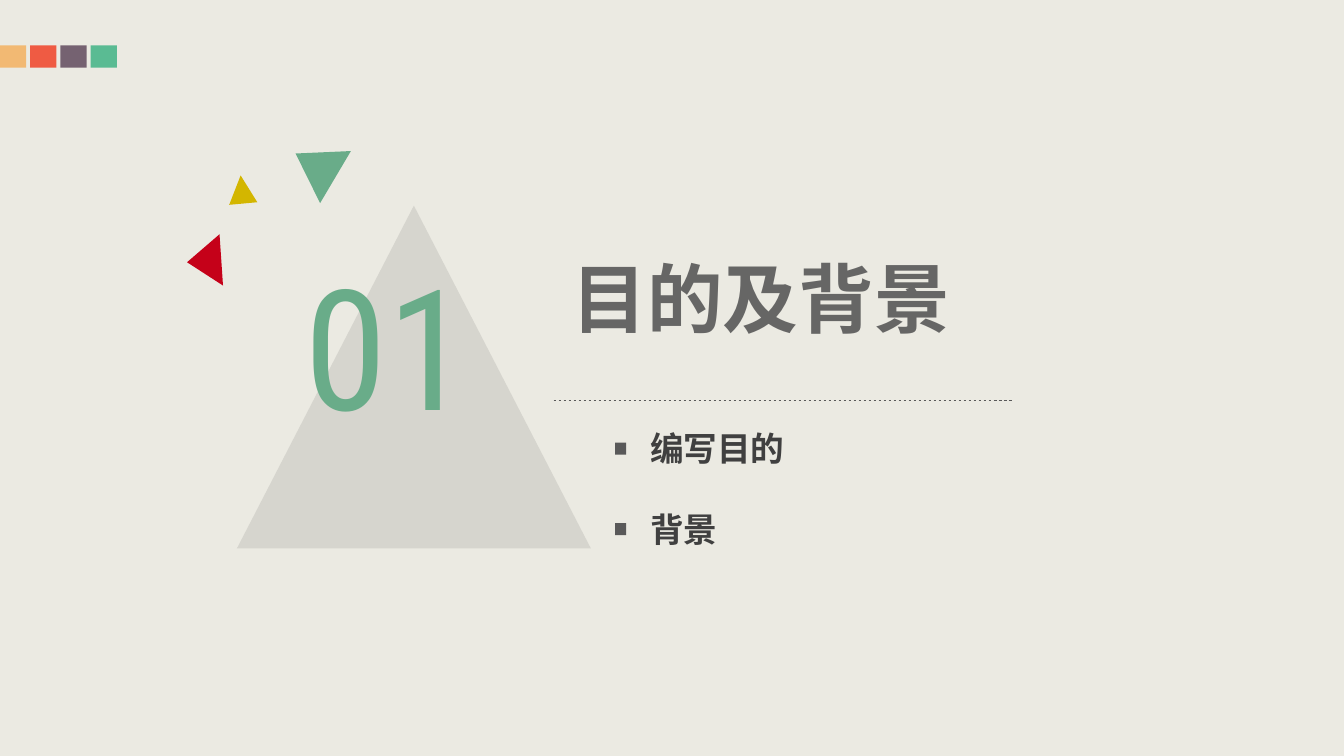
from lxml.etree import SubElement
from pptx import Presentation
from pptx.dml.color import RGBColor
from pptx.enum.dml import MSO_LINE
from pptx.enum.shapes import MSO_CONNECTOR, MSO_SHAPE
from pptx.enum.text import MSO_ANCHOR
from pptx.oxml.ns import qn
from pptx.util import Inches, Pt

BG, GRAY, INK, GREEN = "EBEAE2", "595959", "404040", "69AC89"
CJK, LATIN = "Noto Sans CJK SC", "Roboto Condensed"

SWATCHES = ["F2B973", "EF5B43", "756271", "5ABB93"]
SWATCH_STEP, SWATCH_TOP, SWATCH_SIZE = 0.3, 0.45, (0.26, 0.22)

TRIANGLES = [
    ((2.35, 2.04, 3.51, 3.4), 0, GRAY, 14),
    ((2.83, 1.41, 0.6, 0.46), 300.6, GREEN, 100),
    ((2.26, 1.74, 0.28, 0.28), 354.7, "D3B600", 100),
    ((1.77, 2.42, 0.51, 0.34), 266.1, "C50119", 100),
]
NUMBER = ("01", (2.92, 2.35, 2.36, 2.12), 120, LATIN, GREEN)
TITLE = ("目的及背景", (5.57, 2.44, 4.35, 1.01), 54, CJK, GRAY)
RULE = (5.49, 10.04, 3.97)

ITEMS = ["编写目的", "背景"]
ITEM_LEFT, ITEM_TOP, ITEM_STEP, ITEM_SIZE = 6.35, 4.2, 0.8, (3.43, 0.5)
BULLET_LEFT, BULLET_DROP, BULLET_SIZE = 6.1, 0.19, (0.11, 0.12)


def paint(fill, color, alpha=100):
    """Give a fill a solid colour with an opacity in percent."""
    fill.solid()
    fill.fore_color.rgb = RGBColor.from_string(color)
    if alpha < 100:
        clr = fill._xPr.find(".//" + qn("a:srgbClr"))
        SubElement(clr, qn("a:alpha"), val=str(alpha * 1000))


def add_solid(s, kind, box, color, alpha=100, rotation=0):
    """Add a borderless preset shape."""
    sp = s.shapes.add_shape(kind, *map(Inches, box))
    sp.shadow.inherit = False
    sp.line.fill.background()
    sp.rotation = rotation
    paint(sp.fill, color, alpha)


def add_text(s, text, box, size, font, color, bold=True, alpha=100):
    """Add one line of text, centred vertically in its box."""
    tf = s.shapes.add_textbox(*map(Inches, box)).text_frame
    tf.word_wrap = True
    tf.vertical_anchor = MSO_ANCHOR.MIDDLE
    p = tf.paragraphs[0]
    p.text = text
    p.font.size, p.font.bold, p.font.name = Pt(size), bold, font
    paint(p.font.fill, color, alpha)
    SubElement(p.font._rPr, qn("a:ea"), typeface=font)


def add_rule(s, left, right, y):
    """Add the dashed line under the title."""
    line = s.shapes.add_connector(
        MSO_CONNECTOR.STRAIGHT, *map(Inches, (left, y, right, y)))
    line.line.width = Pt(0.5)
    line.line.dash_style = MSO_LINE.DASH
    paint(line.line.fill, GRAY)
    SubElement(line._element.spPr, qn("a:effectLst"))


def main():
    """Build the section slide."""
    prs = Presentation()
    prs.slide_width, prs.slide_height = Inches(13.33), Inches(7.5)
    s = prs.slides.add_slide(prs.slide_layouts[6])
    paint(s.background.fill, BG)

    for i, color in enumerate(SWATCHES):
        box = (i * SWATCH_STEP, SWATCH_TOP, *SWATCH_SIZE)
        add_solid(s, MSO_SHAPE.RECTANGLE, box, color)
    for box, rotation, color, alpha in TRIANGLES:
        add_solid(s, MSO_SHAPE.ISOSCELES_TRIANGLE, box, color, alpha, rotation)

    add_text(s, *NUMBER, bold=False)
    add_text(s, *TITLE, alpha=91)
    add_rule(s, *RULE)

    for i, item in enumerate(ITEMS):
        top = ITEM_TOP + i * ITEM_STEP
        bullet = (BULLET_LEFT, top + BULLET_DROP, *BULLET_SIZE)
        add_solid(s, MSO_SHAPE.RECTANGLE, bullet, GRAY)
        add_text(s, item, (ITEM_LEFT, top, *ITEM_SIZE), 24, CJK, INK)

    prs.save("out.pptx")


if __name__ == "__main__":
    main()
